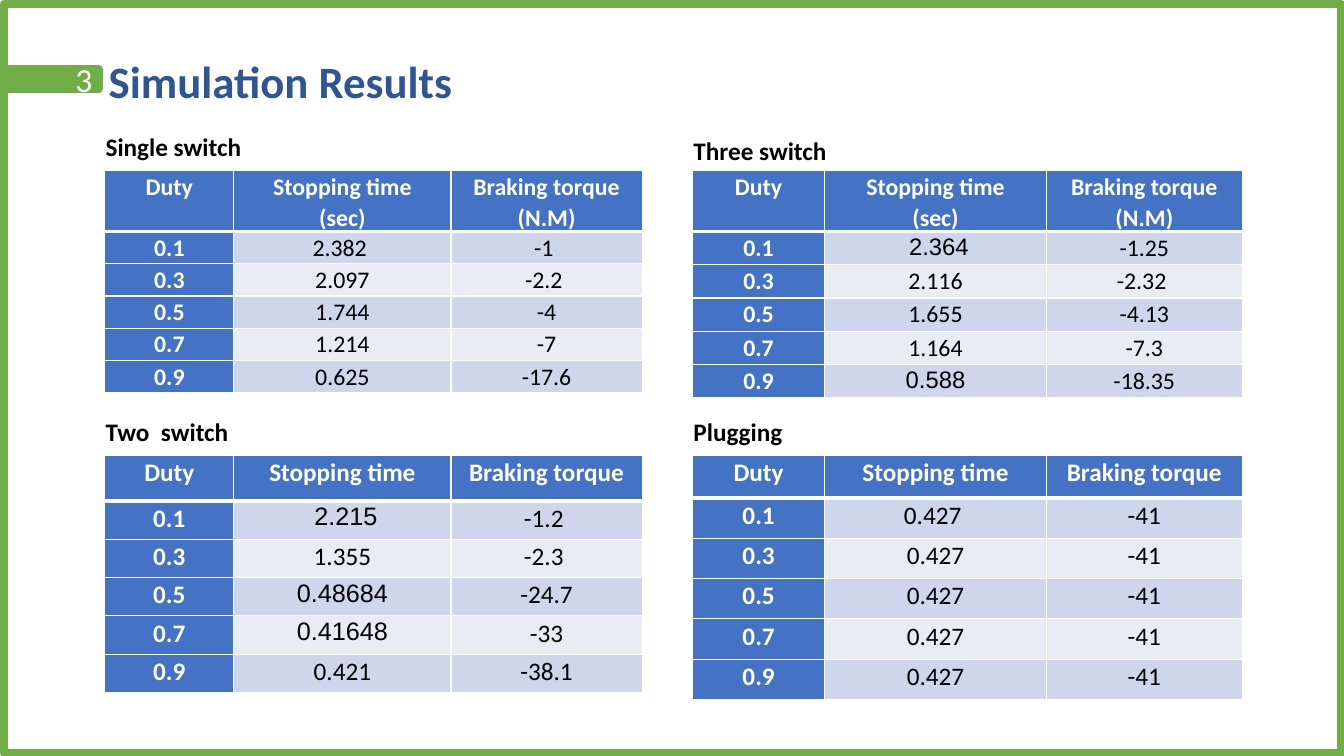
from lxml import etree
from pptx import Presentation
from pptx.dml.color import RGBColor
from pptx.enum.shapes import MSO_SHAPE
from pptx.enum.text import MSO_AUTO_SIZE, PP_ALIGN
from pptx.oxml.ns import qn
from pptx.util import Inches, Pt

RECT = MSO_SHAPE.RECTANGLE
CENTER = PP_ALIGN.CENTER
GROW = MSO_AUTO_SIZE.SHAPE_TO_FIT_TEXT
FONT = "Calibri"
GREEN, BLUE, NAVY = "70AD47", "4472C4", "2F5597"
WHITE, BLACK = "FFFFFF", "000000"
BANDS = ["CFD5EA", "E9EBF5"]
SHARES = [0.24, 0.404, 0.356]
DUTY = ["0.1", "0.3", "0.5", "0.7", "0.9"]
SHORT = ["Duty", "Stopping time", "Braking torque"]
LONG = ["Duty", "Stopping time\n(sec)", "Braking torque\n(N.M)"]

LEFT, RIGHT = (1.04, 5.33), (6.87, 5.45)
UPPER, LOWER = 1.69, 4.52

PANELS = [
    ("Single switch", LEFT, UPPER, 0.44, LONG, 17, 0.59, 0.32,
     ["2.382 ", "2.097", "1.744", "1.214", "0.625"],
     ["-1 ", "-2.2 ", "-4", "-7", "-17.6"], []),
    ("Two  switch", LEFT, LOWER, 0.44, SHORT, 18, 0.45, 0.38,
     ["2.215 ", "1.355", "0.48684", "0.41648", "0.421"],
     ["-1.2 ", "-2.3 ", "-24.7", "-33", "-38.1"], [1, 3, 4]),
    ("Three switch", RIGHT, UPPER, 0.4, LONG, 17, 0.59, 0.33,
     ["2.364 ", "2.116", "1.655", "1.164", "0.588"],
     ["-1.25", "-2.32 ", "-4.13", "-7.3", "-18.35"], [1, 5]),
    ("Plugging", RIGHT, LOWER, 0.44, SHORT, 18, 0.42, 0.4,
     ["0.427 ", "0.427", "0.427", "0.427", "0.427"],
     ["-41"] * 5, []),
]


def rgb(code):
    return RGBColor.from_string(code)


def style(para, size, color, bold):
    for run in para.runs:
        font = run.font
        font.name, font.size, font.bold = FONT, Pt(size), bold
        font.color.rgb = rgb(color)


def label(slide, box, text, size, color, bold=True, wrap=True):
    frame = slide.shapes.add_textbox(*map(Inches, box)).text_frame
    frame.word_wrap = wrap
    frame.auto_size = GROW
    frame.text = text
    style(frame.paragraphs[0], size, color, bold)
    return frame.paragraphs[0]


def block(slide, box, fill=None):
    shape = slide.shapes.add_shape(RECT, *map(Inches, box))
    shape.shadow.inherit = False
    if fill:
        shape.fill.solid()
        shape.fill.fore_color.rgb = rgb(fill)
    else:
        shape.fill.background()
    shape.line.color.rgb = rgb(GREEN)
    shape.line.width = Pt(6)


def border(cell, row):
    props = cell._tc.get_or_add_tcPr()
    widths = {"lnL": 1, "lnR": 1, "lnT": 3 if row == 1 else 1,
              "lnB": 3 if row == 0 else 1}
    for spot, (side, width) in enumerate(widths.items()):
        line = etree.Element(qn("a:" + side), w=str(Pt(width)))
        solid = etree.SubElement(line, qn("a:solidFill"))
        etree.SubElement(solid, qn("a:srgbClr"), val=WHITE)
        props.insert(spot, line)


def flip(para):
    para._p.get_or_add_pPr().set("rtl", "1")
    for run in para.runs:
        props = run._r.get_or_add_rPr()
        etree.SubElement(props, qn("a:cs"), typeface="Arial")


def fill(cell, text, row, col, size, rtl):
    lead = row == 0 or col == 0
    cell.fill.solid()
    cell.fill.fore_color.rgb = rgb(BLUE if lead else BANDS[(row - 1) % 2])
    border(cell, row)
    cell.margin_left = cell.margin_right = Inches(0.07)
    cell.margin_top = cell.margin_bottom = 0
    cell.text_frame.text = text
    for para in cell.text_frame.paragraphs:
        para.alignment = CENTER
        para.line_spacing = 1.07
        style(para, size, WHITE if lead else BLACK, lead)
        if rtl:
            flip(para)


def panel(slide, name, span, top, lift, head, size, first, step,
          times, torques, turned):
    left, width = span
    label(slide, (left - 0.09, top - lift, 2.13, 0.41), name, 18, BLACK)
    rows = [head, *zip(DUTY, times, torques)]
    high = first + step * len(DUTY)
    grid = slide.shapes.add_table(
        len(rows), len(head), *map(Inches, (left, top, width, high))).table
    for col, share in enumerate(SHARES):
        grid.columns[col].width = Inches(width * share)
    for row, texts in enumerate(rows):
        grid.rows[row].height = Inches(step if row else first)
        for col, text in enumerate(texts):
            fill(grid.cell(row, col), text, row, col, size,
                 col == 1 and row in turned)


def header(slide, left, top):
    title = label(slide, (left + 0.94, top, 5.69, 0.64),
                  "Simulation Results", 32, NAVY)
    title.line_spacing = Pt(40)
    block(slide, (left, top + 0.23, 0.94, 0.19), GREEN)
    label(slide, (left + 0.61, top + 0.08, 0.37, 0.5), "3", 24, WHITE,
          bold=False, wrap=False)


def main():
    deck = Presentation()
    deck.slide_width, deck.slide_height = Inches(13.33), Inches(7.5)
    slide = deck.slides.add_slide(deck.slide_layouts[6])
    block(slide, (0.04, 0.04, 13.26, 7.43))
    for part in PANELS:
        panel(slide, *part)
    header(slide, 0.04, 0.46)
    deck.save("out.pptx")


if __name__ == "__main__":
    main()
